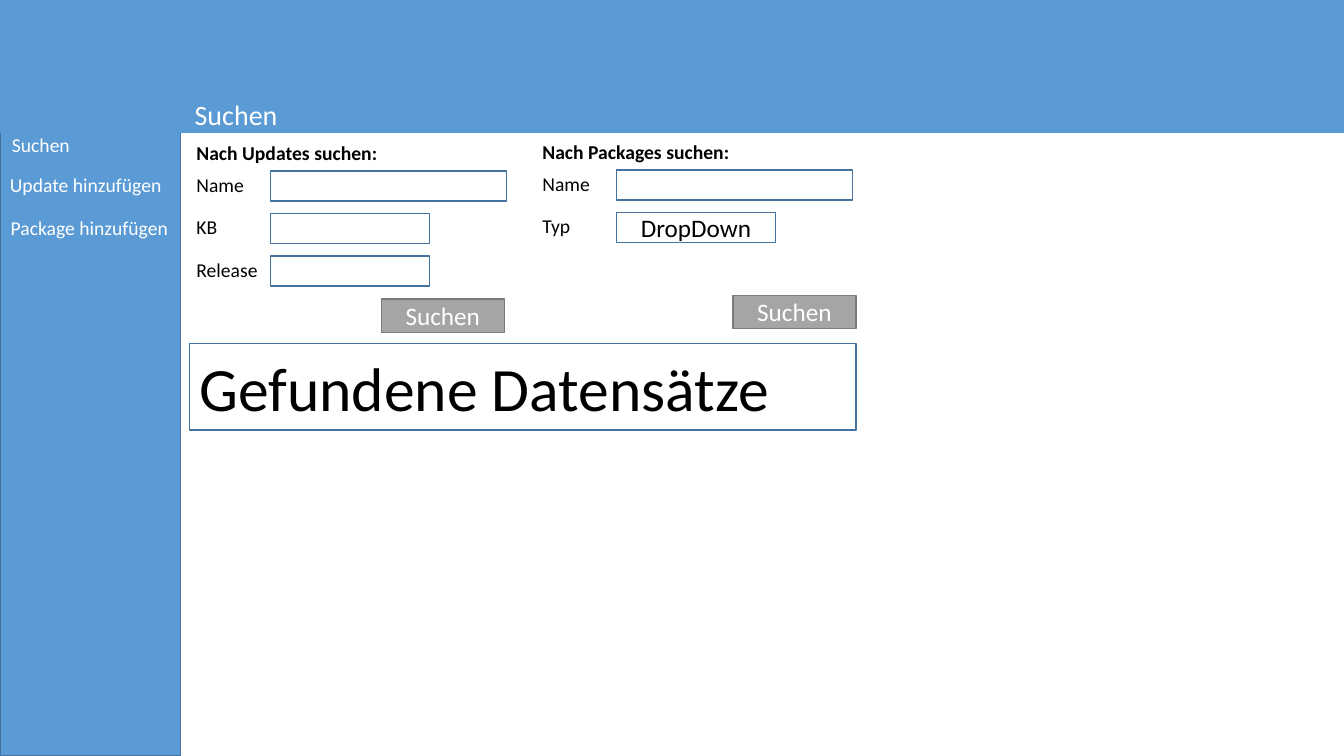
from pptx import Presentation
from pptx import util as u
from pptx.dml import color
from pptx.enum import shapes, text

HUES = {"blue": "5B9BD5", "edge": "43739E", "white": "FFFFFF",
        "black": "000000", "gray": "A5A5A5", "rim": "7A7A7A"}
LEFT, MID = text.PP_ALIGN.LEFT, text.PP_ALIGN.CENTER
TOP, CORE = text.MSO_ANCHOR.TOP, text.MSO_ANCHOR.MIDDLE


def write(item, words, size, hue, bold=False, align=LEFT, anchor=TOP):
    frame = item.text_frame
    frame.word_wrap = True
    frame.auto_size = text.MSO_AUTO_SIZE.NONE
    frame.vertical_anchor = anchor
    para = frame.paragraphs[0]
    para.alignment = align
    run = para.add_run()
    run.text = words
    run.font.name = "Calibri"
    run.font.size = u.Pt(size)
    run.font.bold = bold
    run.font.color.rgb = color.RGBColor.from_string(HUES[hue])


def box(x, y, w, h, fill="white", line="edge"):
    item = slide.shapes.add_shape(shapes.MSO_SHAPE.RECTANGLE,
                                  u.Cm(x), u.Cm(y), u.Cm(w), u.Cm(h))
    item.shadow.inherit = False
    item.fill.solid()
    item.fill.fore_color.rgb = color.RGBColor.from_string(HUES[fill])
    item.line.color.rgb = color.RGBColor.from_string(HUES[line])
    item.line.width = u.Pt(1)
    return item


deck = Presentation()
deck.slide_width, deck.slide_height = u.Cm(33.87), u.Cm(19.05)
slide = deck.slides.add_slide(deck.slide_layouts[5])

box(0, 0, 4.55, 19.05, "blue")
box(0, 0, 33.87, 3.33, "blue", "blue")

title = slide.shapes.title
title.left, title.top = u.Cm(4.65), u.Cm(2.34)
title.width, title.height = u.Cm(10.49), u.Cm(1.12)
write(title, "Suchen", 20, "white")
title.element.getparent().append(title.element)

found = box(4.78, 8.66, 16.79, 2.18)
write(found, "Gefundene Datensätze", 44, "black", anchor=CORE)

labels = [
    ("Suchen", 0.05, 3.23, "white", False),
    ("Update hinzufügen", 0, 4.24, "white", False),
    ("Package hinzufügen", 0.02, 5.31, "white", False),
]
forms = [
    ("Nach Updates suchen:", 4.7, 3.43, 9.61, 7.54,
     [("Name", 5.95, ""), ("KB", 5.2, ""), ("Release", 5.2, "")]),
    ("Nach Packages suchen:", 13.42, 3.4, 18.47, 7.44,
     [("Name", 5.95, ""), ("Typ", 4, "DropDown")]),
]
for head, x, y, side, low, rows in forms:
    labels.append((head, x, y, "black", True))
    for i, (name, wide, value) in enumerate(rows):
        top = y + 0.8 + 1.07 * i
        labels.append((name, x, top, "black", False))
        field = box(x + 2.12, top + 0.08, 5.95 if i == 0 else 4, 0.76)
        if value:
            write(field, value, 18, "black", align=MID, anchor=CORE)
    button = box(side, low, 3.1, 0.84, "gray", "rim")
    write(button, "Suchen", 18, "white", align=MID, anchor=CORE)

for words, x, y, hue, bold in labels:
    label = slide.shapes.add_textbox(u.Cm(x), u.Cm(y), u.Cm(5.8), u.Cm(0.86))
    write(label, words, 14, hue, bold)

deck.save("out.pptx")
